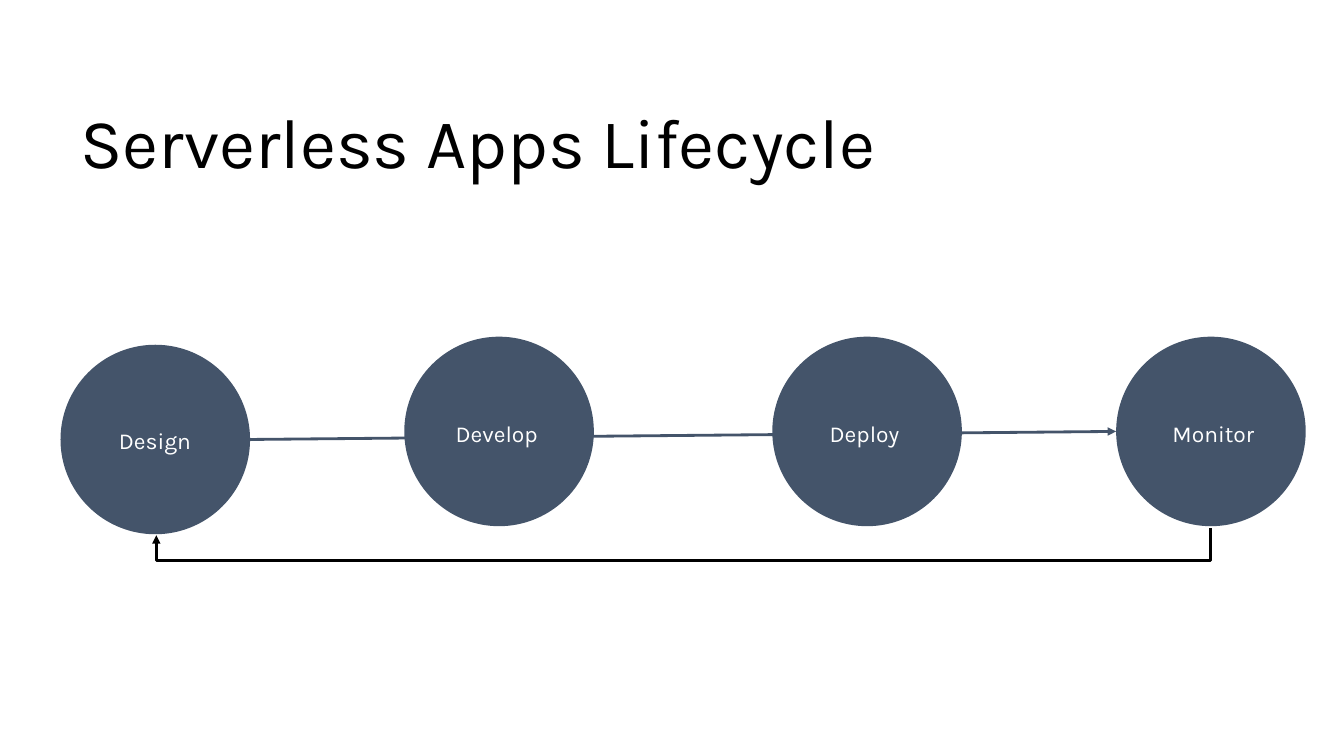
from dataclasses import dataclass

from lxml.etree import SubElement
from pptx import Presentation
from pptx.dml.color import RGBColor
from pptx.enum.shapes import MSO_CONNECTOR, MSO_SHAPE
from pptx.enum.text import MSO_ANCHOR, PP_ALIGN
from pptx.oxml.ns import qn
from pptx.util import Inches, Pt


@dataclass(frozen=True)
class Theme:
    font: str = "Karla"
    slate: RGBColor = RGBColor(0x44, 0x54, 0x6A)
    black: RGBColor = RGBColor(0, 0, 0)
    white: RGBColor = RGBColor(255, 255, 255)
    title_size: float = 50
    label_size: float = 16.3
    line_width: float = 2


@dataclass(frozen=True)
class Box:
    left: float
    top: float
    width: float
    height: float


@dataclass(frozen=True)
class Stage:
    """A circle and its label, placed relative to the lifecycle box."""
    name: str
    left: float
    top: float
    label_left: float
    label_top: float
    label_width: float


THEME = Theme()
DIAMETER = 1.88
LABEL_HEIGHT = 0.42
STAGES = (
    Stage("Design", 0, 0.08, 0.48, 0.71, 0.94),
    Stage("Develop", 3.41, 0, 0.41, 0.72, 1.05),
    Stage("Deploy", 7.06, 0, 0.47, 0.72, 0.99),
    Stage("Monitor", 10.47, 0, 0.46, 0.72, 1.15),
)


def apply_format(target, values):
    for name, value in values.items():
        setattr(target, name, value)


def write_text(shape, text, size, color, inset_x, inset_y):
    frame = shape.text_frame
    apply_format(frame, {
        "word_wrap": True, "vertical_anchor": MSO_ANCHOR.TOP,
        "margin_left": Inches(inset_x), "margin_right": Inches(inset_x),
        "margin_top": Inches(inset_y), "margin_bottom": Inches(inset_y),
    })
    para = frame.paragraphs[0]
    para.alignment = PP_ALIGN.LEFT
    span = para.add_run()
    span.text = text
    apply_format(span.font, {"name": THEME.font, "size": Pt(size)})
    span.font.color.rgb = color
    return para


def add_arrow(slide, kind, start, end, color):
    arrow = slide.shapes.add_connector(kind, *map(Inches, start + end))
    arrow.line.color.rgb = color
    arrow.line.width = Pt(THEME.line_width)
    SubElement(arrow.line._get_or_add_ln(), qn("a:tailEnd"), type="triangle")
    SubElement(arrow._element.spPr, qn("a:effectLst"))
    return arrow


def add_title(slide, box):
    title = slide.shapes.title
    apply_format(title, {
        "left": Inches(box.left), "top": Inches(box.top),
        "width": Inches(box.width), "height": Inches(box.height),
    })
    para = write_text(title, "Serverless Apps Lifecycle",
                      THEME.title_size, THEME.black, 0.2, 0.16)
    para.line_spacing = 0.9


def add_stage(slide, stage, box):
    left, top = box.left + stage.left, box.top + stage.top
    circle = slide.shapes.add_shape(
        MSO_SHAPE.OVAL, *map(Inches, (left, top, DIAMETER, DIAMETER)))
    circle.shadow.inherit = False
    circle.fill.solid()
    circle.fill.fore_color.rgb = THEME.slate
    circle.line.fill.background()
    label = slide.shapes.add_textbox(*map(Inches, (
        left + stage.label_left, top + stage.label_top,
        stage.label_width, LABEL_HEIGHT)))
    write_text(label, stage.name, THEME.label_size, THEME.white, 0.1, 0.1)


def add_return_arrow(slide, start, end, drop):
    """Bent arrow that leaves start downwards and enters end from below."""
    span, rise = start[0] - end[0], end[1] - start[1]
    middle_x, middle_y = (start[0] + end[0]) / 2, (start[1] + end[1]) / 2
    # The bend is laid out upright and then turned by a quarter.
    arrow = add_arrow(
        slide, MSO_CONNECTOR.ELBOW,
        (middle_x - rise / 2, middle_y - span / 2),
        (middle_x + rise / 2, middle_y + span / 2), THEME.black)
    properties = arrow._element.spPr
    properties.get_or_add_xfrm().set("rot", str(90 * 60000))
    guides = properties.find(qn("a:prstGeom")).get_or_add_avLst()
    SubElement(guides, qn("a:gd"), name="adj1",
               fmla=f"val {round(drop / rise * 100000)}")


def add_lifecycle(slide, box):
    first, last = STAGES[0], STAGES[-1]
    radius = DIAMETER / 2
    first_x, first_y = box.left + first.left, box.top + first.top
    last_x, last_y = box.left + last.left, box.top + last.top
    add_arrow(slide, MSO_CONNECTOR.STRAIGHT,
              (first_x + DIAMETER, first_y + radius),
              (last_x, last_y + radius), THEME.slate)
    for stage in STAGES:
        add_stage(slide, stage, box)
    add_return_arrow(slide, (last_x + radius, last_y + DIAMETER + 0.02),
                     (first_x + radius + 0.01, first_y + DIAMETER + 0.01),
                     drop=0.32)


def main():
    deck = Presentation()
    deck.slide_width, deck.slide_height = Inches(13.33), Inches(7.5)
    page = deck.slides.add_slide(deck.slide_layouts.get_by_name("Title Only"))
    add_title(page, Box(0.6, 0.91, 10.08, 2))
    add_lifecycle(page, Box(0.6, 3.34, 12.35, 2.22))
    deck.save("out.pptx")


if __name__ == "__main__":
    main()
